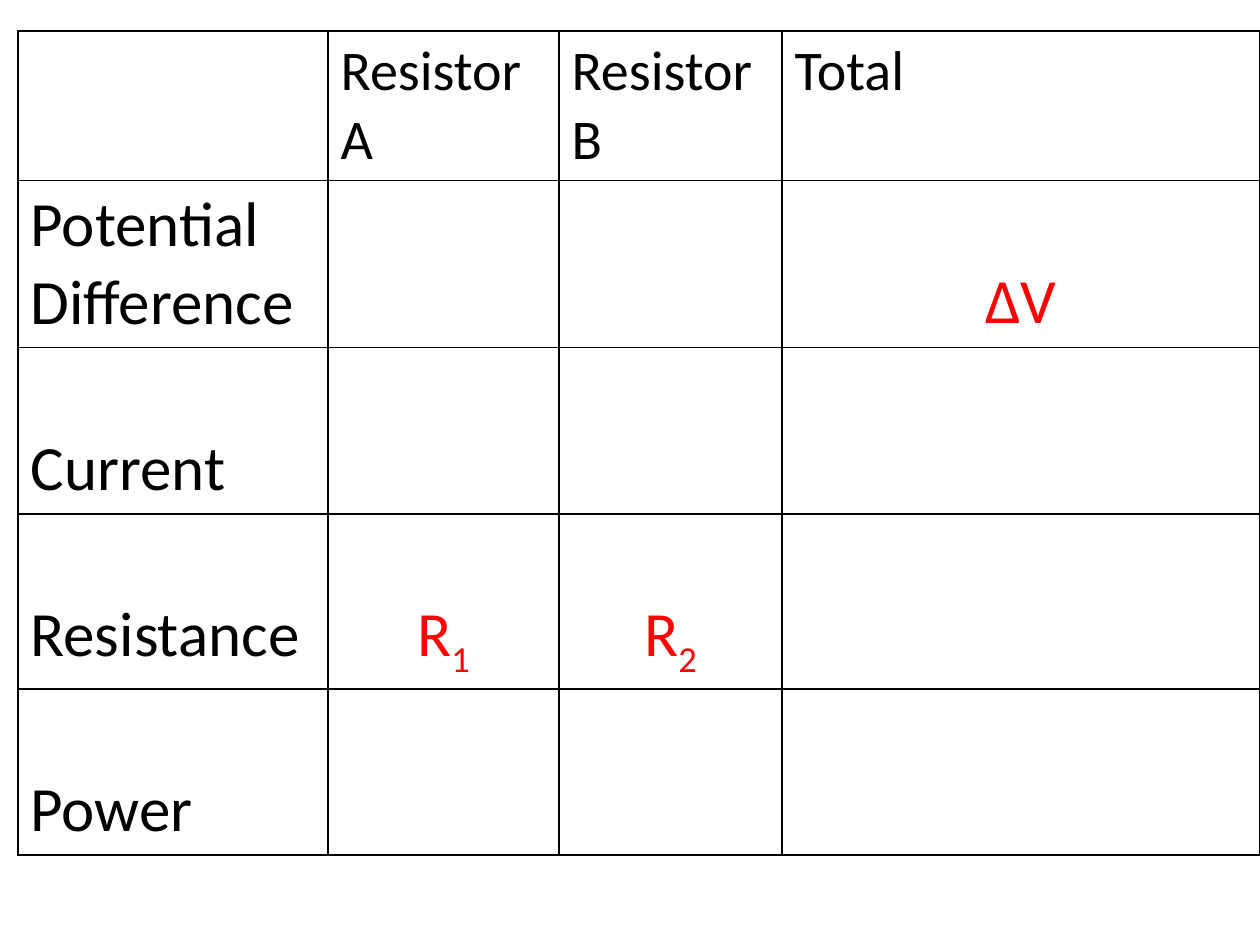
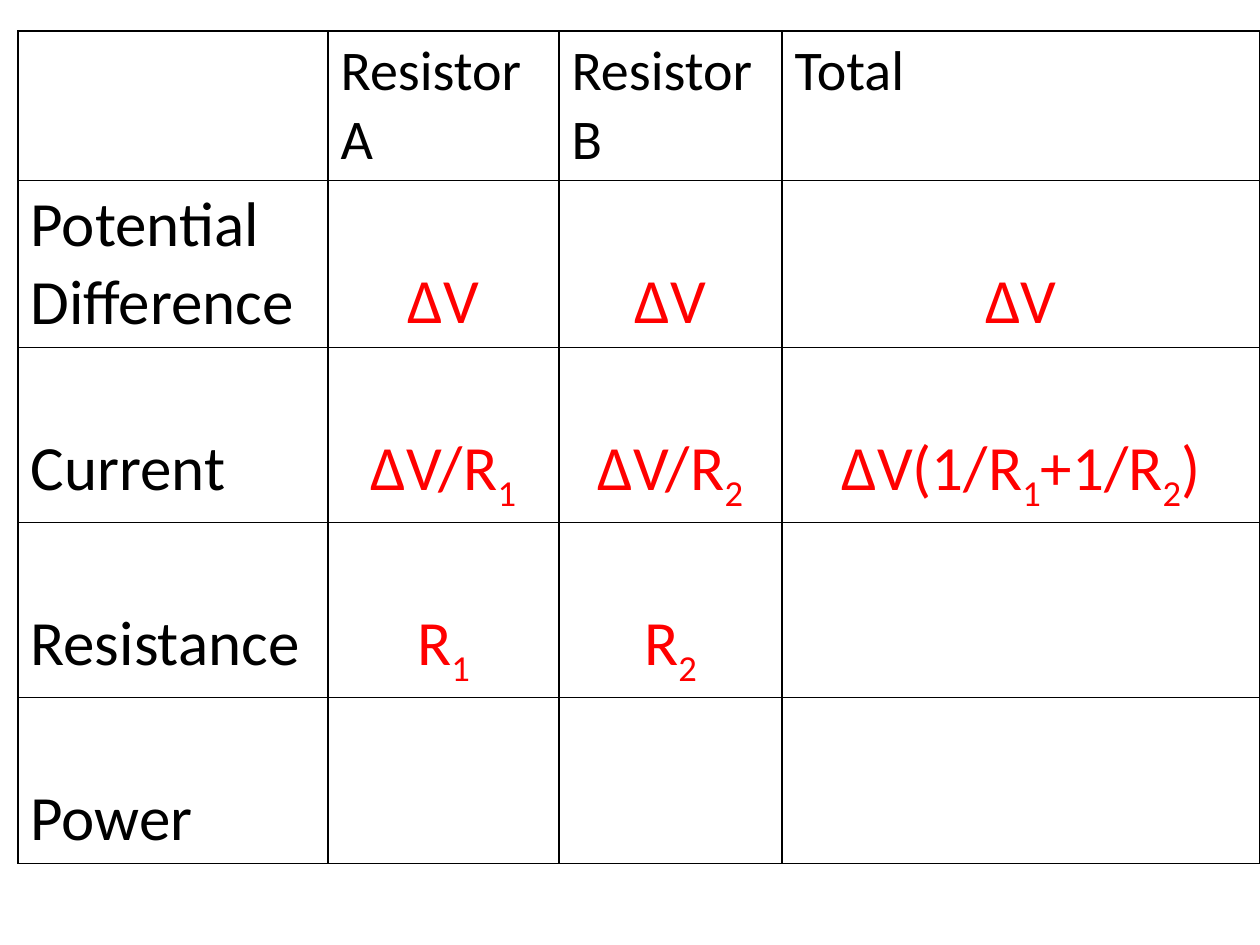
from lxml import etree
from pptx import Presentation
from pptx import util as u
from pptx.dml.color import RGBColor
from pptx.enum import text
from pptx.oxml.ns import qn

PX = 914400 // 126
BLACK = RGBColor(0, 0, 0)
RED = RGBColor(255, 0, 0)
FONT = "Calibri"
HEADER_SIZE, BODY_SIZE = 32, 36

TABLE_LEFT, TABLE_TOP = 18, 31
COLUMN_WIDTHS = [310, 231, 223, 478]
HEADER_HEIGHT, PLAIN_HEIGHT, SUBSCRIPT_HEIGHT = 149, 166, 175
SECOND_LINE = 83  # top margin that puts text on the second line of a row

HEADERS = ["", "Resistor A", "Resistor B", "Total"]
QUANTITIES = ["Potential Difference", "Current", "Resistance", "Power"]

# An underscore lowers the character that follows it.
GIVEN_VALUES = {
    "Potential Difference": ["", "", "ΔV"],
    "Resistance": ["R_1", "R_2", ""],
}
SOLVED_VALUES = {
    **GIVEN_VALUES,
    "Potential Difference": ["ΔV", "ΔV", "ΔV"],
    "Current": ["ΔV/R_1", "ΔV/R_2", "ΔV(1/R_1+1/R_2)"],
}


def px(length):
    return u.Emu(length * PX)


def add_span(para, content, size, color, subscript=False):
    span = para.add_run()
    span.text = content
    span.font.name = FONT
    span.font.size = u.Pt(size)
    span.font.color.rgb = color
    if subscript:
        span.font._element.set("baseline", "-25000")


def write_cell(cell, content, size=BODY_SIZE, color=BLACK, centered=False, top=None):
    if not content:
        return
    if top is not None:
        cell.margin_top = px(top)
    para = cell.text_frame.paragraphs[0]
    if centered:
        para.alignment = text.PP_ALIGN.CENTER
    first, *rest = content.split("_")
    add_span(para, first, size, color)
    for part in rest:
        add_span(para, part[0], size, color, subscript=True)
        if part[1:]:
            add_span(para, part[1:], size, color)


def outline_cell(cell):
    """Give the cell thin black borders and no fill."""
    properties = cell._tc.get_or_add_tcPr()
    for side in ("lnL", "lnR", "lnT", "lnB"):
        line = etree.SubElement(properties, qn(f"a:{side}"), w=str(u.Pt(1)))
        fill = etree.SubElement(line, qn("a:solidFill"))
        etree.SubElement(fill, qn("a:srgbClr"), val=str(BLACK))
    cell.fill.background()


def row_height(values):
    return SUBSCRIPT_HEIGHT if "_" in "".join(values) else PLAIN_HEIGHT


def add_circuit_table(page, values):
    rows = [values.get(quantity, [""] * 3) for quantity in QUANTITIES]
    heights = [HEADER_HEIGHT] + [row_height(row) for row in rows]
    table = page.shapes.add_table(
        len(heights), len(COLUMN_WIDTHS), px(TABLE_LEFT), px(TABLE_TOP),
        px(sum(COLUMN_WIDTHS)), px(sum(heights))).table
    table.first_row = table.horz_banding = False
    for column, width in zip(table.columns, COLUMN_WIDTHS):
        column.width = px(width)
    for row, height in zip(table.rows, heights):
        row.height = px(height)
    for cell in table.iter_cells():
        outline_cell(cell)

    for column, header in enumerate(HEADERS):
        write_cell(table.cell(0, column), header, size=HEADER_SIZE)
    for index, (quantity, row) in enumerate(zip(QUANTITIES, rows), start=1):
        two_lines = " " in quantity
        write_cell(table.cell(index, 0), quantity,
                   top=None if two_lines else SECOND_LINE)
        for column, value in enumerate(row, start=1):
            write_cell(table.cell(index, column), value, color=RED,
                       centered=True, top=SECOND_LINE)


def main():
    deck = Presentation()
    deck.slide_width, deck.slide_height = u.Inches(10), u.Inches(7.5)
    for values in (GIVEN_VALUES, SOLVED_VALUES):
        page = deck.slides.add_slide(deck.slide_layouts[6])
        add_circuit_table(page, values)
    deck.save("out.pptx")


if __name__ == "__main__":
    main()
